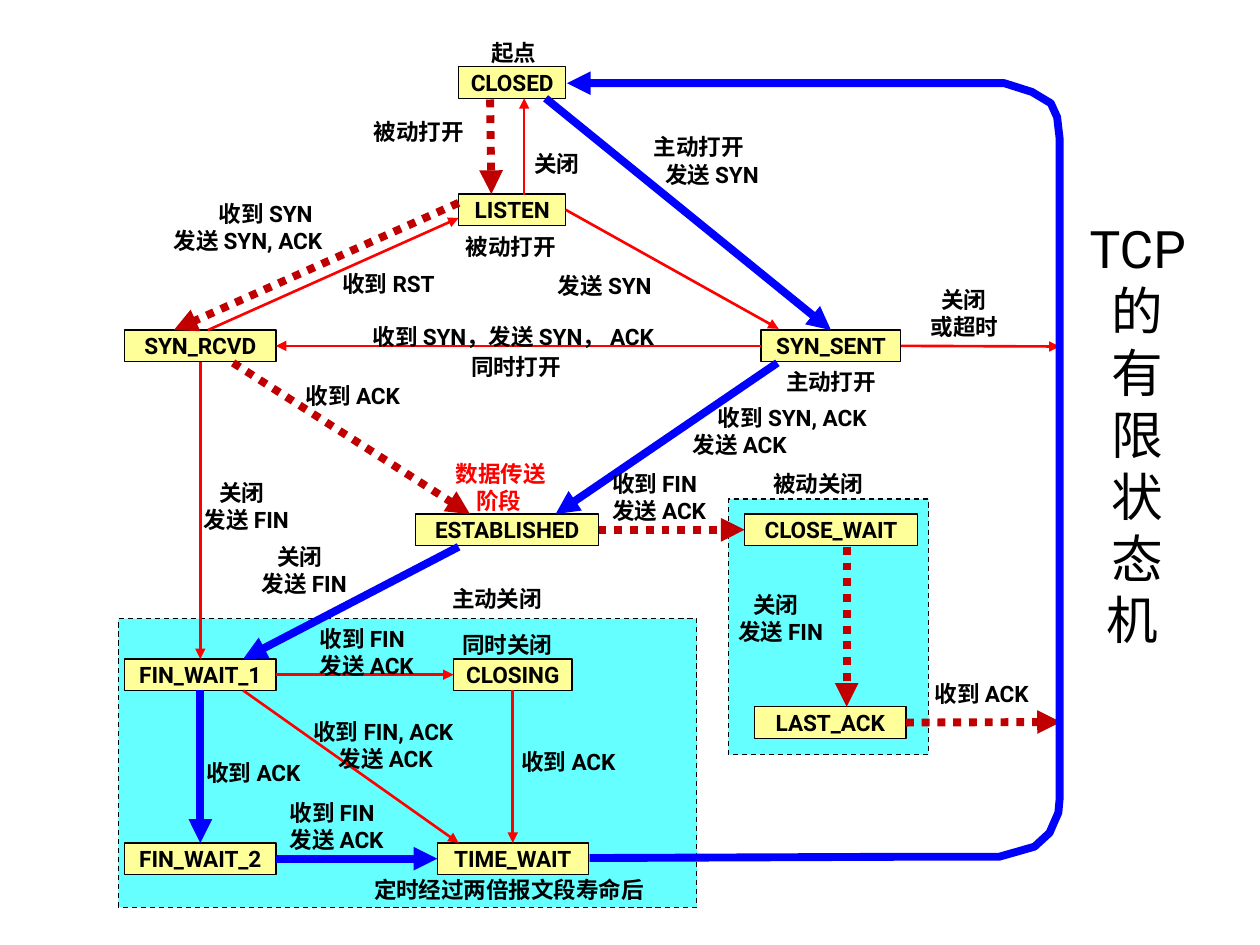
from lxml import etree
from pptx import Presentation
from pptx.dml.color import RGBColor
from pptx.enum.dml import MSO_LINE
from pptx.enum.shapes import MSO_CONNECTOR, MSO_SHAPE
from pptx.enum.text import MSO_ANCHOR, MSO_AUTO_SIZE, PP_ALIGN
from pptx.oxml.ns import qn
from pptx.util import Inches, Pt

RECTANGLE = MSO_SHAPE.RECTANGLE
STRAIGHT = MSO_CONNECTOR.STRAIGHT
DASH, DOT = MSO_LINE.DASH, MSO_LINE.ROUND_DOT
MIDDLE, CENTER = MSO_ANCHOR.MIDDLE, PP_ALIGN.CENTER
NO_FIT, GROW = MSO_AUTO_SIZE.NONE, MSO_AUTO_SIZE.SHAPE_TO_FIT_TEXT

FONT, BODY_SIZE, TITLE_SIZE = "Roboto", 12.9, 29.5
BLACK, RED = "000000", "FF0000"
TOP, LEFT, BOTTOM, RIGHT = range(4)
BOX_HEIGHT = 0.25

# Line styles: colour, width in points, dash
CLIENT = ("0000FF", 4.5, None)
SERVER = ("C00000", 4.5, DOT)
UNUSUAL = (RED, 1.5, None)

PANELS = [(0.94, 4.91, 4.59, 2.29), (5.78, 3.96, 1.59, 2.03)]

# State name: left, top, width
STATES = {
    "CLOSED": (3.64, 0.53, 0.85),
    "LISTEN": (3.64, 1.54, 0.85),
    "SYN_RCVD": (0.99, 2.62, 1.2),
    "SYN_SENT": (6.04, 2.62, 1.11),
    "ESTABLISHED": (3.3, 4.08, 1.45),
    "CLOSE_WAIT": (5.91, 4.08, 1.37),
    "FIN_WAIT_1": (0.99, 5.23, 1.2),
    "CLOSING": (3.6, 5.23, 0.94),
    "LAST_ACK": (5.99, 5.61, 1.2),
    "FIN_WAIT_2": (0.99, 6.69, 1.2),
    "TIME_WAIT": (3.47, 6.69, 1.2),
}

# Each end is a point, or a state and the side it is joined to
TRANSITIONS = [
    (SERVER, ("ESTABLISHED", RIGHT), ("CLOSE_WAIT", LEFT)),
    (CLIENT, (4.33, 0.78), ("SYN_SENT", TOP)),
    (CLIENT, (6.17, 2.88), (4.41, 4.08)),
    (CLIENT, (3.64, 4.34), (1.93, 5.23)),
    (CLIENT, ("FIN_WAIT_1", BOTTOM), ("FIN_WAIT_2", TOP)),
    (CLIENT, ("FIN_WAIT_2", RIGHT), ("TIME_WAIT", LEFT)),
    (SERVER, (3.89, 0.79), (3.9, 1.54)),
    (SERVER, (3.64, 1.61), (1.38, 2.62)),
    (SERVER, (1.85, 2.88), (3.73, 4.08)),
    (SERVER, (6.72, 4.34), (6.72, 5.61)),
    (SERVER, ("LAST_ACK", RIGHT), (8.42, 5.73)),
    (UNUSUAL, ("SYN_RCVD", BOTTOM), ("FIN_WAIT_1", TOP)),
    (UNUSUAL, ("CLOSING", BOTTOM), ("TIME_WAIT", TOP)),
    (UNUSUAL, ("FIN_WAIT_1", RIGHT), ("CLOSING", LEFT)),
    (UNUSUAL, ("SYN_SENT", LEFT), ("SYN_RCVD", RIGHT)),
    (UNUSUAL, (1.65, 2.62), (3.64, 1.73)),
    (UNUSUAL, (1.93, 5.48), (3.64, 6.69)),
    (UNUSUAL, ("LISTEN", RIGHT), (6.18, 2.61)),
    (UNUSUAL, (4.16, 1.55), (4.16, 0.78)),
    (UNUSUAL, ("SYN_SENT", RIGHT), (8.41, 2.75)),
]

RETURN_PATH = [
    (4.68, 6.81), (7.2, 6.8), (7.93, 6.8), (8.07, 6.76), (8.21, 6.72),
    (8.33, 6.61), (8.4, 6.45), (8.41, 6.34), (8.41, 1.1), (8.39, 0.93),
    (8.34, 0.82), (8.19, 0.73), (7.97, 0.66), (7.72, 0.66), (4.5, 0.66),
]

# Left, top, width, then lines; a pair is a line with its indent
LABELS = [
    (6.14, 2.87, 0.93, "主动打开"),
    (3.6, 1.8, 0.93, "被动打开"),
    (6.04, 3.68, 0.93, "被动关闭"),
    (3.49, 4.59, 0.93, "主动关闭"),
    (3.8, 0.26, 0.57, "起点"),
    (2.87, 0.89, 0.93, "被动打开"),
    (5.09, 1.01, 1.1, "主动打开", ("发送 SYN", 0.09)),
    (3.64, 2.75, 0.93, "同时打开"),
    (2.33, 2.98, 0.99, "收到 ACK"),
    (5.76, 4.64, 0.95, ("关闭", 0.12), "发送 FIN"),
    (1.98, 4.26, 0.95, ("关闭", 0.12), "发送 FIN"),
    (1.52, 3.75, 0.95, ("关闭", 0.12), "发送 FIN"),
    (2.62, 2.09, 0.98, "收到 RST"),
    (1.28, 1.54, 1.47, ("收到 SYN", 0.36), "发送 SYN, ACK"),
    (7.29, 2.22, 0.75, ("关闭", 0.08), "或超时"),
    (7.32, 5.35, 0.99, "收到 ACK"),
    (5.4, 3.16, 1.74, ("收到 SYN, ACK", 0.2), "发送 ACK"),
    (4.04, 5.89, 0.99, "收到 ACK"),
    (1.54, 5.97, 0.99, "收到 ACK"),
    (2.2, 6.29, 0.99, "收到 FIN", "发送 ACK"),
    (2.39, 5.65, 1.43, "收到 FIN, ACK", ("发送 ACK", 0.2)),
    (2.44, 4.91, 0.99, "收到 FIN", "发送 ACK"),
    (3.57, 4.96, 0.93, "同时关闭"),
    (4.76, 3.68, 0.99, "收到 FIN", "发送 ACK"),
    (4.33, 2.11, 0.99, "发送 SYN"),
    (2.87, 6.9, 2.39, "定时经过两倍报文段寿命后"),
    (4.14, 1.14, 0.57, "关闭"),
]


def rgb(color):
    return RGBColor.from_string(color)


def format_text(frame, size, color=BLACK, bold=True):
    for para in frame.paragraphs:
        for span in para.runs:
            span.font.name = FONT
            span.font.size = Pt(size)
            span.font.bold = bold
            span.font.color.rgb = rgb(color)


def format_line(shape, color, width, dash=None):
    shape.line.color.rgb = rgb(color)
    shape.line.width = Pt(width)
    if dash:
        shape.line.dash_style = dash


def add_arrowhead(shape):
    outline = shape.element.spPr.find(qn("a:ln"))
    etree.SubElement(outline, qn("a:tailEnd"), type="triangle")


def add_title(page):
    title = page.shapes.title
    title.left, title.top = Inches(8.42), Inches(1.67)
    title.width, title.height = Inches(1.22), Inches(3.54)
    frame = title.text_frame
    frame.text = "\v".join(["TCP", *"的有限状态", "机 "])
    frame.auto_size = NO_FIT
    frame.vertical_anchor = MIDDLE
    frame.paragraphs[0].alignment = CENTER
    format_text(frame, TITLE_SIZE, bold=False)


def add_rectangle(page, left, top, width, height, fill, dash=None):
    box = page.shapes.add_shape(
        RECTANGLE, Inches(left), Inches(top), Inches(width), Inches(height))
    box.shadow.inherit = False
    box.fill.solid()
    box.fill.fore_color.rgb = rgb(fill)
    format_line(box, BLACK, 0.75, dash)
    return box


def add_state(page, name, left, top, width):
    box = add_rectangle(page, left, top, width, BOX_HEIGHT, "FFFF99")
    frame = box.text_frame
    frame.text = name
    frame.word_wrap = False
    frame.margin_top = frame.margin_bottom = 0
    frame.vertical_anchor = MIDDLE
    frame.paragraphs[0].alignment = CENTER
    format_text(frame, BODY_SIZE)
    return box


def add_transition(page, boxes, style, start, end):
    points = [Inches(v) if not isinstance(place[0], str) else 0
              for place in (start, end) for v in place]
    arrow = page.shapes.add_connector(STRAIGHT, *points)
    for (target, side), connect in ((start, arrow.begin_connect),
                                    (end, arrow.end_connect)):
        if target in boxes:
            connect(boxes[target], side)
    format_line(arrow, *style)
    add_arrowhead(arrow)
    etree.SubElement(arrow.element.spPr, qn("a:effectLst"))


def add_return_path(page):
    points = [(Inches(x), Inches(y)) for x, y in RETURN_PATH]
    builder = page.shapes.build_freeform(*points[0])
    builder.add_line_segments(points[1:], close=False)
    route = builder.convert_to_shape()
    route.shadow.inherit = False
    route.fill.background()
    format_line(route, *CLIENT)
    add_arrowhead(route)


def add_label(page, left, top, width, *lines, color=BLACK, wrap=False):
    height = 0.1 + 0.22 * len(lines)
    box = page.shapes.add_textbox(
        Inches(left), Inches(top), Inches(width), Inches(height))
    frame = box.text_frame
    frame.word_wrap = wrap
    frame.auto_size = GROW
    pairs = [(line, 0) if isinstance(line, str) else line for line in lines]
    frame.text = "\n".join(text for text, _ in pairs)
    for para, (_, indent) in zip(frame.paragraphs, pairs):
        if indent:
            para._p.get_or_add_pPr().set("marL", str(Inches(indent)))
    format_text(frame, BODY_SIZE, color)


def main():
    deck = Presentation()
    deck.slide_width, deck.slide_height = Inches(10), Inches(7.5)
    page = deck.slides.add_slide(deck.slide_layouts[5])
    add_title(page)

    # Closing phases, then the states on top
    for panel in PANELS:
        add_rectangle(page, *panel, "66FFFF", DASH)
    boxes = {name: add_state(page, name, *place)
             for name, place in STATES.items()}

    # Transitions between states
    for transition in TRANSITIONS:
        add_transition(page, boxes, *transition)
    add_return_path(page)

    # Events and actions
    for label in LABELS:
        add_label(page, *label)
    add_label(page, 2.86, 2.51, 2.58, "收到 SYN，发送 SYN， ACK", wrap=True)
    add_label(page, 3.52, 3.6, 0.93, "数据传送", ("阶段", 0.16), color=RED)

    deck.save("out.pptx")


if __name__ == "__main__":
    main()
